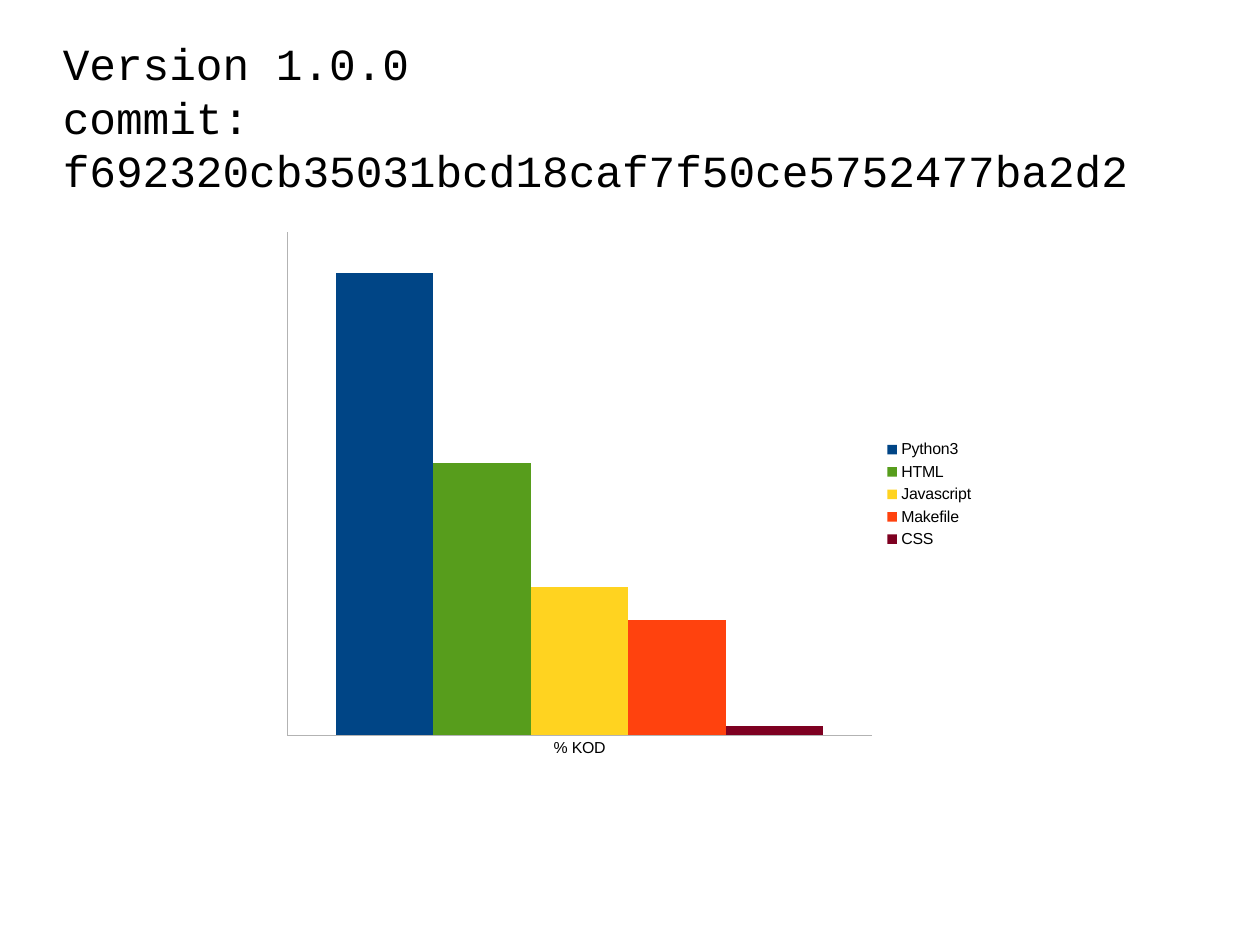
"""Build a slide showing a release's commit and its share of code by language."""
from lxml import etree
from pptx import Presentation
from pptx import util as u
from pptx.chart.data import CategoryChartData
from pptx.dml.color import RGBColor
from pptx.enum import chart as charts, text
from pptx.oxml import ns

BLACK = RGBColor(0x00, 0x00, 0x00)
AXIS_GREY = RGBColor(0xB3, 0xB3, 0xB3)
LANGUAGES = [
    ("Python3", 100, RGBColor(0x00, 0x45, 0x86)),
    ("HTML", 59, RGBColor(0x57, 0x9D, 0x1C)),
    ("Javascript", 32, RGBColor(0xFF, 0xD3, 0x20)),
    ("Makefile", 25, RGBColor(0xFF, 0x42, 0x0E)),
    ("CSS", 2, RGBColor(0x7E, 0x00, 0x21)),
]
TITLE_LINES = ["Version 1.0.0", "commit:", "f692320cb35031bcd18caf7f50ce5752477ba2d2"]
PLOT_LAYOUT = [
    ("layoutTarget", "inner"), ("xMode", "edge"), ("yMode", "edge"),
    ("x", "0.02"), ("y", "0.02"), ("w", "0.82"), ("h", "0.92"),
]

deck = Presentation()
deck.slide_width = u.Pt(793.7)
deck.slide_height = u.Pt(595.28)
page = deck.slides.add_slide(deck.slide_layouts[6])

title = page.shapes.add_textbox(u.Pt(39.6), u.Pt(23.7), u.Pt(714.24), u.Pt(99.36))
frame = title.text_frame
frame.word_wrap = True
frame.vertical_anchor = text.MSO_ANCHOR.MIDDLE
frame.margin_left = frame.margin_right = frame.margin_top = frame.margin_bottom = u.Pt(0)
para = frame.paragraphs[0]
for number, line in enumerate(TITLE_LINES):
    if number:
        para.add_line_break()
    span = para.add_run()
    span.text = line
    span.font.name = "Courier New"
    span.font.size = u.Pt(28)
    span.font.color.rgb = BLACK

code_share = CategoryChartData()
code_share.categories = ["% KOD"]
for name, value, color in LANGUAGES:
    code_share.add_series(name, [value])
chart = page.shapes.add_chart(
    charts.XL_CHART_TYPE.COLUMN_CLUSTERED,
    u.Pt(172), u.Pt(139), u.Pt(449), u.Pt(344.88), code_share,
).chart
chart.has_title = False
chart.font.name = "Arial"
chart.font.size = u.Pt(10)
chart.font.color.rgb = BLACK

chart.has_legend = True
chart.legend.position = charts.XL_LEGEND_POSITION.RIGHT
chart.legend.include_in_layout = False

plot = chart.plots[0]
plot.gap_width = 100
plot.overlap = 0
plot.vary_by_categories = False
for series, (name, value, color) in zip(plot.series, LANGUAGES):
    series.format.fill.solid()
    series.format.fill.fore_color.rgb = color
    series.format.line.fill.background()

for axis in (chart.category_axis, chart.value_axis):
    axis.has_major_gridlines = False
    axis.major_tick_mark = axis.minor_tick_mark = charts.XL_TICK_MARK.NONE
    axis.format.line.color.rgb = AXIS_GREY
    axis.format.line.width = u.Pt(0)
chart.value_axis.minimum_scale = 0
chart.value_axis.maximum_scale = 109
chart.value_axis.tick_label_position = charts.XL_TICK_LABEL_POSITION.NONE

plot_area = chart.element.find(".//" + ns.qn("c:plotArea"))
layout = plot_area.find(ns.qn("c:layout"))
if layout is None:
    layout = etree.Element(ns.qn("c:layout"))
    plot_area.insert(0, layout)
manual = etree.SubElement(layout, ns.qn("c:manualLayout"))
for tag, setting in PLOT_LAYOUT:
    etree.SubElement(manual, ns.qn("c:" + tag)).set("val", setting)

deck.save("out.pptx")
